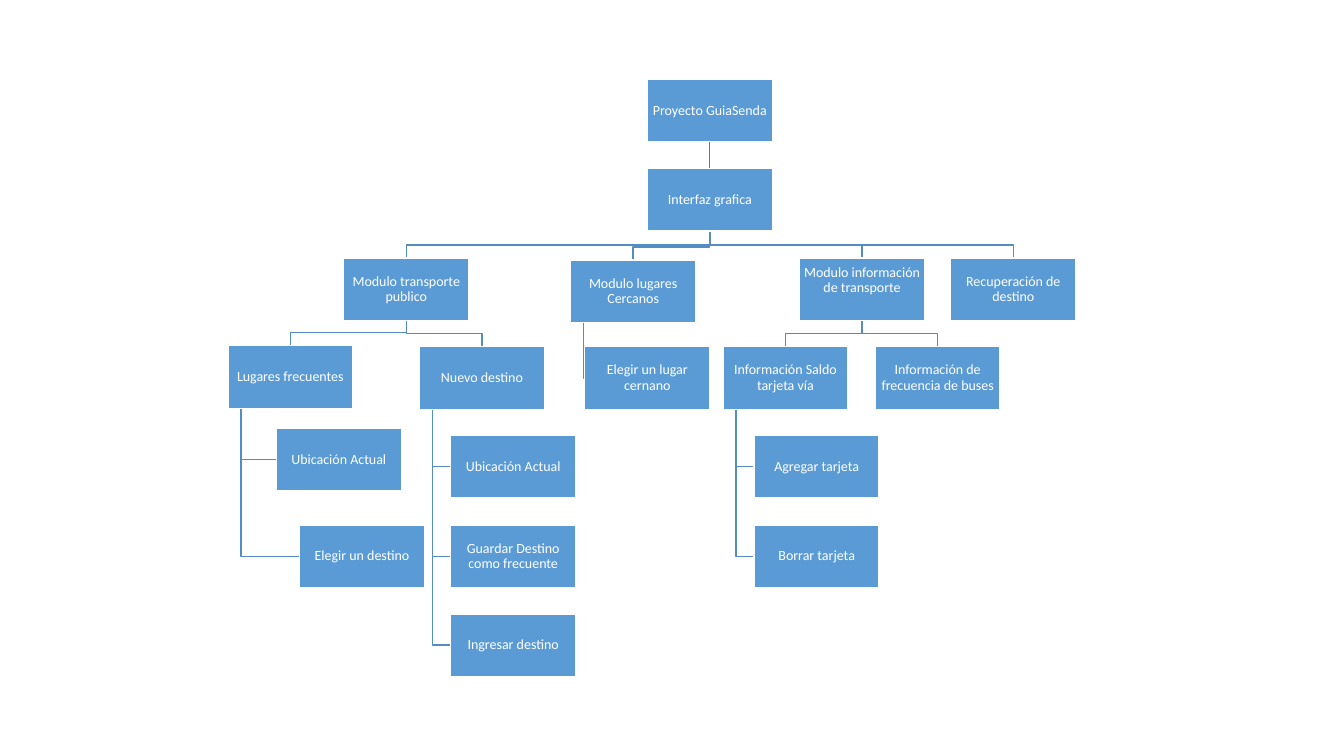
"""Build a one-slide module tree for a transport app project."""
from collections.abc import Iterator
from dataclasses import dataclass

from lxml.etree import SubElement
from pptx import Presentation
from pptx.dml.color import RGBColor
from pptx.enum.shapes import MSO_CONNECTOR, MSO_SHAPE
from pptx.enum.text import MSO_ANCHOR, PP_ALIGN
from pptx.oxml.ns import qn
from pptx.shapes.autoshape import Shape
from pptx.shapes.connector import Connector
from pptx.util import Inches, Pt

COLORS = {"box": "5B9BD5", "edge": "FFFFFF", "text": "FFFFFF",
          "link": "538DC1", "trunk": "497CAB"}
BOX_W, BOX_H = 1.24, 0.62
HANG = 0.13
BEND = 0.13
MARGIN = 0.01


@dataclass(frozen=True)
class Node:
    text: str
    x: float
    y: float
    children: tuple["Node", ...] = ()
    hanging: bool = False
    bottom: float = MARGIN

    @property
    def center(self) -> float:
        return self.x + BOX_W / 2


ROWS = [0.79, 1.67, 2.56, 3.44, 4.32, 5.21, 6.09]

FREQUENT = Node("Lugares frecuentes", 2.26, 3.43, (
    Node("Ubicación Actual", 2.74, 4.25),
    Node("Elegir un destino", 2.97, ROWS[5]),
), hanging=True)
NEW_DESTINATION = Node("Nuevo destino", 4.16, ROWS[3], (
    Node("Ubicación Actual", 4.47, ROWS[4]),
    Node("Guardar Destino como frecuente", 4.47, ROWS[5]),
    Node("Ingresar destino", 4.47, ROWS[6]),
), hanging=True)
CARD_BALANCE = Node("Información Saldo tarjeta vía", 7.17, ROWS[3], (
    Node("Agregar tarjeta", 7.48, ROWS[4]),
    Node("Borrar tarjeta", 7.48, ROWS[5]),
), hanging=True)
INTERFACE = Node("Interfaz grafica", 6.42, ROWS[1], (
    Node("Modulo transporte publico", 3.41, ROWS[2], (FREQUENT, NEW_DESTINATION)),
    Node("Modulo lugares Cercanos", 5.66, 2.58,
         (Node("Elegir un lugar cernano", 5.8, ROWS[3]),), hanging=True),
    Node("Modulo información de transporte", 7.93, ROWS[2], (
        CARD_BALANCE,
        Node("Información de frecuencia de buses", 8.68, ROWS[3]),
    ), bottom=0.18),
    Node("Recuperación de destino", 9.43, ROWS[2]),
))
ROOT = Node("Proyecto GuiaSenda", 6.42, ROWS[0], (INTERFACE,))


def rgb(name: str) -> RGBColor:
    return RGBColor.from_string(COLORS[name])


def walk(node: Node) -> Iterator[Node]:
    yield node
    for child in node.children:
        yield from walk(child)


def set_text(sp: Shape, text: str, *, size: float = 10, font: str = "Calibri",
             color: str = "text", bottom: float = MARGIN) -> None:
    tf = sp.text_frame
    tf.word_wrap = True
    tf.vertical_anchor = MSO_ANCHOR.MIDDLE
    tf.margin_left = tf.margin_right = tf.margin_top = Inches(MARGIN)
    tf.margin_bottom = Inches(bottom)
    p = tf.paragraphs[0]
    p.alignment = PP_ALIGN.CENTER
    p.line_spacing = 0.9
    r = p.add_run()
    r.text = text
    r.font.size = Pt(size)
    r.font.name = font
    r.font.color.rgb = rgb(color)


def add_box(shapes, node: Node) -> Shape:
    sp = shapes.add_shape(MSO_SHAPE.RECTANGLE, Inches(node.x), Inches(node.y),
                          Inches(BOX_W), Inches(BOX_H))
    sp.shadow.inherit = False
    sp.fill.solid()
    sp.fill.fore_color.rgb = rgb("box")
    sp.line.color.rgb = rgb("edge")
    sp.line.width = Pt(1)
    set_text(sp, node.text, bottom=node.bottom)
    return sp


def add_elbow(shapes, parent: Node, child: Node) -> None:
    base = parent.y + BOX_H
    if parent.hanging:
        x, mid = parent.x + HANG, child.y + BOX_H / 2
        points = [(x, base), (x, mid), (child.x, mid)]
    else:
        bend = child.y - BEND
        points = [(parent.center, base), (parent.center, bend),
                  (child.center, bend), (child.center, child.y)]
    start, *rest = [(Inches(x), Inches(y)) for x, y in points]
    builder = shapes.build_freeform(*start)
    builder.add_line_segments(rest, close=False)
    sp = builder.convert_to_shape()
    sp.shadow.inherit = False
    sp.fill.background()
    sp.line.color.rgb = rgb("link")
    sp.line.width = Pt(1)


def add_trunk(shapes, top: Shape, bottom: Shape) -> Connector:
    cxn = shapes.add_connector(MSO_CONNECTOR.STRAIGHT, 0, 0, 0, 0)
    cxn.begin_connect(top, 2)
    cxn.end_connect(bottom, 0)
    cxn.line.color.rgb = rgb("trunk")
    cxn.line.width = Pt(1)
    SubElement(cxn._element.spPr, qn("a:effectLst"))
    return cxn


def main() -> None:
    prs = Presentation()
    prs.slide_width, prs.slide_height = Inches(13.33), Inches(7.5)
    s = prs.slides.add_slide(prs.slide_layouts[6])
    for parent in walk(INTERFACE):
        for child in parent.children:
            add_elbow(s.shapes, parent, child)
    boxes = {node: add_box(s.shapes, node) for node in walk(ROOT)}
    add_trunk(s.shapes, boxes[ROOT], boxes[INTERFACE])
    prs.save("out.pptx")


if __name__ == "__main__":
    main()
